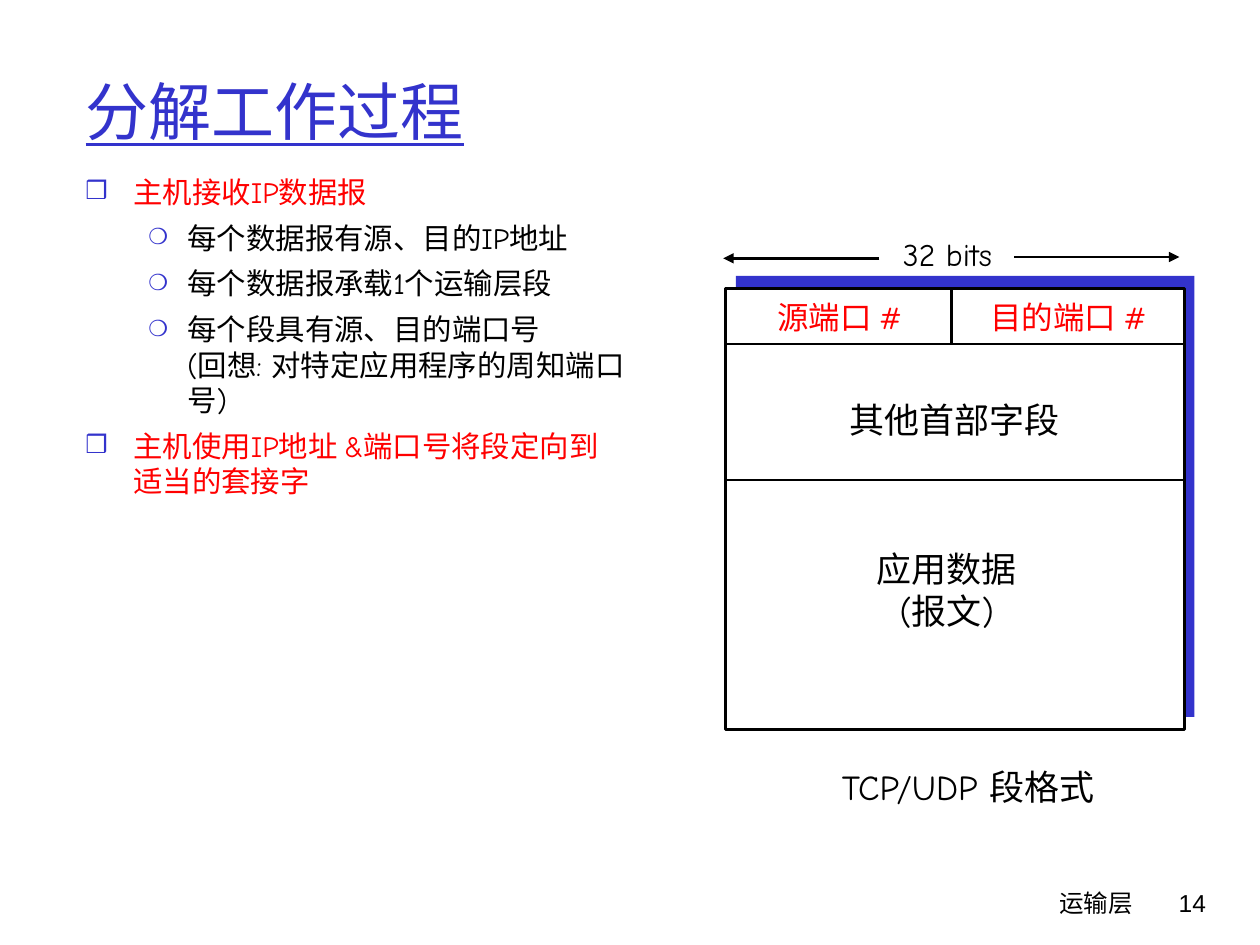
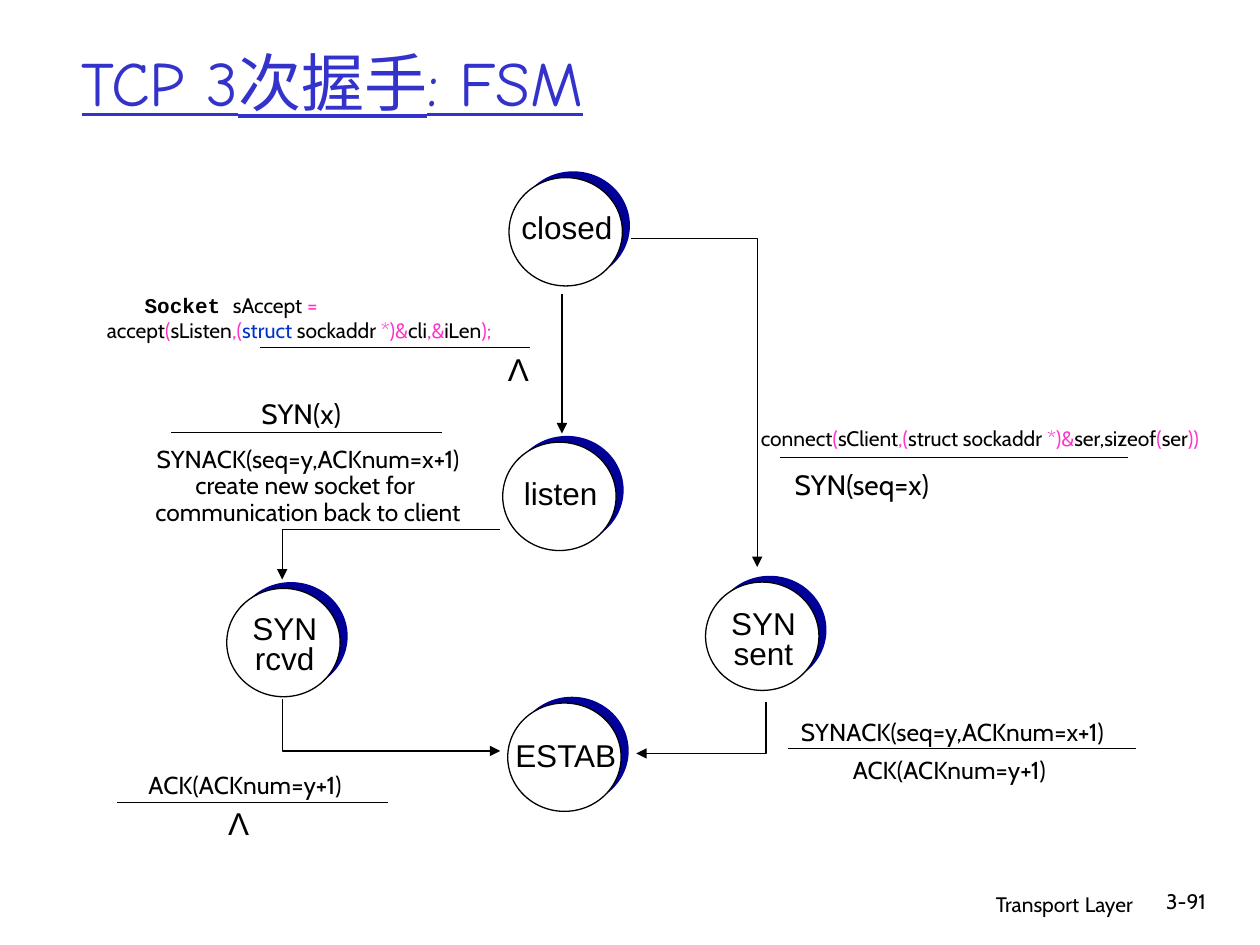
from collections import namedtuple

from lxml import etree
from pptx import Presentation
from pptx.dml.color import RGBColor
from pptx.enum.shapes import MSO_CONNECTOR as Connector, MSO_SHAPE as Preset
from pptx.enum.text import MSO_ANCHOR as Anchor, MSO_AUTO_SIZE as AutoSize, PP_ALIGN as Align
from pptx.oxml.ns import qn
from pptx.util import Pt

PX = 9144
TITLE_ONLY = 5

BLACK = RGBColor(0x00, 0x00, 0x00)
WHITE = RGBColor(0xFF, 0xFF, 0xFF)
BLUE = RGBColor(0x33, 0x33, 0xCC)
NAVY = RGBColor(0x00, 0x00, 0x99)
KEYWORD_BLUE = RGBColor(0x00, 0x33, 0xCC)
RED = RGBColor(0xFF, 0x00, 0x00)
PINK = RGBColor(0xFF, 0x33, 0xCC)

Style = namedtuple("Style", "font size color bold underline", defaults=(BLACK, False, False))
TITLE = Style("Comic Neue", 36, BLUE, underline=True)
POINT = Style("Comic Neue", 16.8, RED)
DETAIL = Style("Comic Neue", 16.8)
PORT = Style("Comic Neue", 18, RED)
WIDTH_LABEL = Style("Comic Neue", 18)
FIELD = Style("Comic Neue", 20)
STATE = Style("Arial", 18)
EVENT = Style("Cabin", 16)
ACTION = Style("Cabin", 14)
CODE = Style("Cabin", 12)
SYMBOL = Style("Cabin", 12, PINK)
KEYWORD = Style("Cabin", 12, KEYWORD_BLUE)
TYPE_NAME = Style("Courier New", 12, BLACK, True)

Bullet = namedtuple("Bullet", "symbol percent margin hanging")
BULLETS = {POINT: Bullet("❒", 85, 38, 38), DETAIL: Bullet("❍", 75, 81, 31)}


def emu(*lengths):
    """Turn px lengths into EMU."""
    return [length * PX for length in lengths]


def add_run(paragraph, text, style):
    """Add one formatted run."""
    run = paragraph.add_run()
    run.text = text
    font = run.font
    font.name, font.size = style.font, Pt(style.size)
    font.bold, font.underline = style.bold, style.underline
    font.color.rgb = style.color


def indent(paragraph, margin, first_line):
    """Set the left margin and first-line indent in px."""
    properties = paragraph._p.get_or_add_pPr()
    properties.set("marL", str(margin * PX))
    properties.set("indent", str(first_line * PX))
    return properties


def add_bullet(paragraph, bullet):
    """Give a paragraph a blue bullet and a hanging indent."""
    properties = indent(paragraph, bullet.margin, -bullet.hanging)
    color = etree.SubElement(properties, qn("a:buClr"))
    etree.SubElement(color, qn("a:srgbClr"), val=str(BLUE))
    etree.SubElement(properties, qn("a:buSzPct"), val=str(bullet.percent * 1000))
    etree.SubElement(properties, qn("a:buFont"), typeface=POINT.font)
    etree.SubElement(properties, qn("a:buChar"), char=bullet.symbol)


def add_text(slide, box, paragraphs, align=Align.CENTER, wrap=False, spacing=None):
    """Add a text box of paragraphs, each a list of (text, style) runs."""
    frame = slide.shapes.add_textbox(*emu(*box)).text_frame
    frame.word_wrap = wrap
    frame.auto_size = AutoSize.NONE if wrap else AutoSize.SHAPE_TO_FIT_TEXT
    for index, runs in enumerate(paragraphs):
        paragraph = frame.add_paragraph() if index else frame.paragraphs[0]
        paragraph.alignment = align
        if spacing:
            paragraph.line_spacing = spacing
        for text, style in runs:
            add_run(paragraph, text, style)
    return frame


def add_label(slide, box, text, style, spacing=None):
    """Add a centred label with one style for all its lines."""
    add_text(slide, box, [[(line, style)] for line in text.split("\n")], spacing=spacing)


def add_title(slide, box, text):
    """Place and fill the title placeholder."""
    title = slide.shapes.title
    title.left, title.top, title.width, title.height = emu(*box)
    frame = title.text_frame
    frame.auto_size = AutoSize.NONE
    frame.vertical_anchor = Anchor.MIDDLE
    frame.paragraphs[0].alignment = Align.LEFT
    add_run(frame.paragraphs[0], text, TITLE)


def add_footer(slide, runs, number, style):
    """Add the chapter name and slide number."""
    add_text(slide, (592, 700, 317, 50), [runs], Align.RIGHT, True)
    add_text(slide, (893, 700, 74, 50), [[(number, style)]], Align.RIGHT, True)


def add_block(shapes, preset, box, fill, line_width=None):
    """Add a filled preset shape, outlined in black if a width is given."""
    shape = shapes.add_shape(preset, *emu(*box))
    shape.shadow.inherit = False
    shape.fill.solid()
    shape.fill.fore_color.rgb = fill
    if line_width:
        shape.line.color.rgb = BLACK
        shape.line.width = Pt(line_width)
    else:
        shape.line.fill.background()


def finish_line(shape, width, arrow):
    """Colour a line and optionally end it with an arrowhead."""
    shape.line.color.rgb = BLACK
    shape.line.width = Pt(width)
    if arrow:
        etree.SubElement(shape.line._get_or_add_ln(), qn("a:tailEnd"), type="triangle")


def add_line(slide, start, end, width=0.75, arrow=False):
    """Add a straight line."""
    line = slide.shapes.add_connector(Connector.STRAIGHT, *emu(*start, *end))
    finish_line(line, width, arrow)
    etree.SubElement(line._element.spPr, qn("a:effectLst"))


def add_bent_arrow(slide, start, *points):
    """Add an open polyline that ends in an arrowhead."""
    builder = slide.shapes.build_freeform(*start, scale=PX)
    builder.add_line_segments(points, close=False)
    shape = builder.convert_to_shape()
    shape.fill.background()
    shape.shadow.inherit = False
    finish_line(shape, 0.75, True)


def add_state(slide, left, top, name, label_drop, spacing=None):
    """Add a state circle with its navy shade and name."""
    group = slide.shapes.add_group_shape()
    add_block(group.shapes, Preset.OVAL, (left + 6, top - 5, 90, 86), NAVY)
    add_block(group.shapes, Preset.OVAL, (left, top, 90, 86), WHITE, 0.75)
    height = 58 if "\n" in name else 40
    add_label(slide, (left - 14, top + label_drop, 120, height), name, STATE, spacing)


def add_outline(slide, box, items):
    """Add the bulleted outline; a newline in an item breaks its line."""
    frame = add_text(slide, box, [[] for _ in items], Align.LEFT, True)
    for index, (paragraph, (text, style)) in enumerate(zip(frame.paragraphs, items)):
        add_bullet(paragraph, BULLETS[style])
        if index:
            paragraph.space_before = Pt(6)
        for number, line in enumerate(text.split("\n")):
            if number:
                paragraph.add_line_break()
            add_run(paragraph, line, style)


def build_demultiplexing(presentation):
    """Build the slide on demultiplexing and the segment format."""
    slide = presentation.slides.add_slide(presentation.slide_layouts[TITLE_ONLY])
    add_block(slide.shapes, Preset.RECTANGLE, (584, 219, 364, 350), BLUE)
    add_block(slide.shapes, Preset.RECTANGLE, (576, 229, 364, 350), WHITE, 1.5)
    add_title(slide, (58, 25, 850, 125), "分解工作过程")
    add_outline(slide, (58, 133, 450, 305), [
        ("主机接收IP数据报", POINT),
        ("每个数据报有源、目的IP地址", DETAIL),
        ("每个数据报承载1个运输层段", DETAIL),
        ("每个段具有源、目的端口号\n(回想: 对特定应用程序的周知端口号)", DETAIL),
        ("主机使用IP地址 &端口号将段定向到适当的套接字", POINT),
    ])
    for box, text, style in [
        ((594, 232, 145, 40), "源端口 #", PORT),
        ((763, 232, 170, 40), "目的端口 #", PORT),
        ((692, 182, 120, 40), "32 bits", WIDTH_LABEL),
        ((654, 311, 207, 44), "其他首部字段", FIELD),
        ((676, 430, 151, 77), "应用数据\n(报文)", FIELD),
        ((643, 603, 251, 44), "TCP/UDP 段格式", FIELD),
    ]:
        add_label(slide, box, text, style)
    for row_line in (273, 381):
        add_line(slide, (576, row_line), (940, row_line), 1.5)
    add_line(slide, (755, 272), (755, 229), 1.5)
    add_line(slide, (805, 204), (936, 204), 1.5, True)
    add_line(slide, (698, 205), (574, 205), 1.5, True)
    add_footer(slide, [("运输层", Style("Comic Neue", 14))], "14", Style("Arial", 14))


def build_handshake(presentation):
    """Build the state machine of the three-way handshake."""
    slide = presentation.slides.add_slide(presentation.slide_layouts[TITLE_ONLY])
    add_footer(slide, [("Transport", CODE), (" ", ACTION), ("Layer", CODE)], "3-91", CODE)
    add_title(slide, (55, 18, 497, 93), "TCP 3次握手: FSM")

    add_state(slide, 404, 141, "closed", 19)
    add_state(slide, 399, 351, "listen", 20)
    add_state(slide, 180, 467, "SYN\nrcvd", 17, 0.8)
    add_state(slide, 560, 462, "SYN\nsent", 18, 0.8)
    add_state(slide, 403, 558, "ESTAB", 27, 0.8)

    add_line(slide, (446, 233), (446, 344), arrow=True)
    add_bent_arrow(slide, (501, 189), (601, 189), (601, 450))
    add_bent_arrow(slide, (397, 420), (224, 420), (224, 460))
    add_bent_arrow(slide, (224, 555), (224, 596), (397, 596))
    add_bent_arrow(slide, (608, 557), (608, 598), (505, 598))

    for left, right, top in [(619, 895, 363), (206, 421, 276), (136, 351, 343),
                             (625, 902, 594), (93, 308, 637)]:
        add_line(slide, (left, top), (right, top))

    add_text(slide, (594, 333, 406, 50), [[
        ("connect", CODE), ("(", SYMBOL), ("sClient", CODE), (",(", SYMBOL),
        ("struct sockaddr ", CODE), ("*)&", SYMBOL), ("ser,sizeof", CODE),
        ("(", SYMBOL), ("ser", CODE), ("))", SYMBOL),
    ]], Align.LEFT, True)
    accept = add_text(slide, (75, 227, 374, 70), [
        [("Socket ", TYPE_NAME), ("sAccept ", CODE), ("=", SYMBOL)],
        [("accept", CODE), ("(", SYMBOL), ("sListen", CODE), (",(", SYMBOL),
         ("struct", KEYWORD), (" sockaddr ", CODE), ("*)&", SYMBOL), ("cli", CODE),
         (",&", SYMBOL), ("iLen", CODE), (");", SYMBOL)],
    ], Align.LEFT, True)
    indent(accept.paragraphs[0], 30, 0)

    for box, text, style, spacing in [
        ((393, 273, 37, 40), "Λ", STATE, None),
        ((171, 633, 37, 40), "Λ", STATE, None),
        ((606, 366, 156, 37), "SYN(seq=x)", EVENT, None),
        ((186, 310, 106, 37), "SYN(x)", EVENT, None),
        ((90, 350, 309, 73), "SYNACK(seq=y,ACKnum=x+1)\ncreate new socket for \n"
                             "communication back to client", ACTION, 0.9),
        ((613, 567, 286, 31), "SYNACK(seq=y,ACKnum=x+1)", ACTION, 0.9),
        ((648, 597, 211, 31), "ACK(ACKnum=y+1)", ACTION, 0.9),
        ((89, 609, 211, 31), "ACK(ACKnum=y+1)", ACTION, 0.9),
    ]:
        add_label(slide, box, text, style, spacing)


def main():
    """Build and save the presentation."""
    presentation = Presentation()
    presentation.slide_width, presentation.slide_height = emu(1000, 750)
    build_demultiplexing(presentation)
    build_handshake(presentation)
    presentation.save("out.pptx")


if __name__ == "__main__":
    main()
